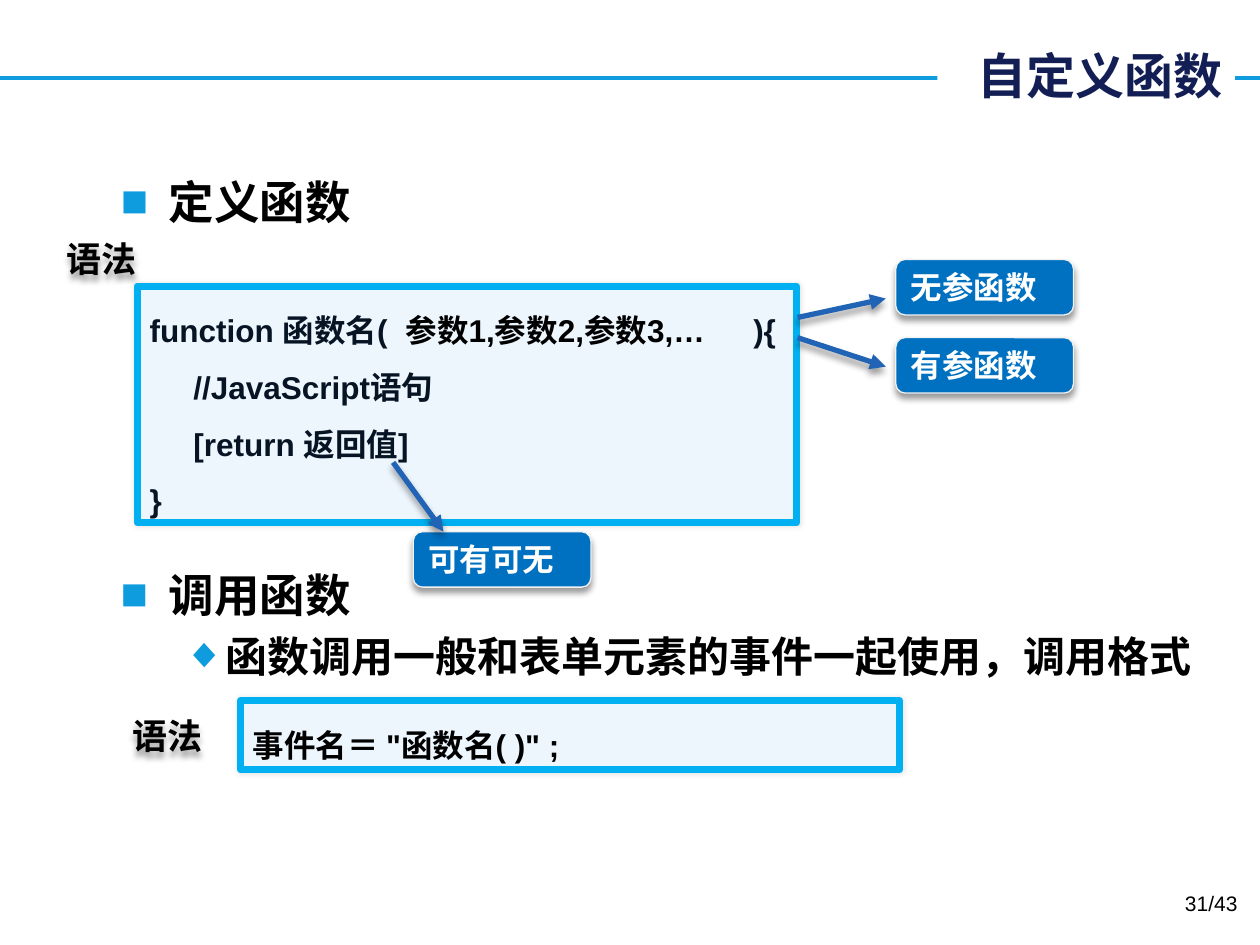
from lxml.etree import SubElement
from pptx import Presentation
from pptx.dml.color import RGBColor
from pptx.enum.shapes import MSO_CONNECTOR, MSO_SHAPE
from pptx.enum.text import MSO_ANCHOR, MSO_AUTO_SIZE, PP_ALIGN
from pptx.oxml.ns import qn
from pptx.util import Inches, Pt

BLACK = RGBColor(0x00, 0x00, 0x00)
WHITE = RGBColor(0xFF, 0xFF, 0xFF)
TITLE_NAVY = RGBColor(0x12, 0x1E, 0x54)
CODE_NAVY = RGBColor(0x07, 0x14, 0x24)
ACCENT = RGBColor(0x0E, 0x9C, 0xDE)
ARROW_BLUE = RGBColor(0x21, 0x63, 0xB4)
CALLOUT_BLUE = RGBColor(0x00, 0x70, 0xC0)
CALLOUT_EDGE = RGBColor(0xF2, 0xF2, 0xF2)
CODE_FILL = RGBColor(0xED, 0xF5, 0xFD)
CODE_EDGE = RGBColor(0x00, 0xB0, 0xF0)
LATIN = "Arial"
CJK = "Noto Sans CJK SC"


def set_font(paragraph, size, color, name=LATIN, bold=True):
    font = paragraph.font
    font.name, font.size, font.bold = name, Pt(size), bold
    font.color.rgb = color


def add_shadow(shape, alpha=40, blur=4, distance=3, angle=90):
    properties = shape._element.spPr
    for effects in properties.findall(qn("a:effectLst")):
        properties.remove(effects)
    effects = SubElement(properties, qn("a:effectLst"))
    shadow = SubElement(effects, qn("a:outerShdw"), blurRad=str(Pt(blur)),
                        dist=str(Pt(distance)), dir=str(angle * 60000),
                        algn="ctr", rotWithShape="0")
    color = SubElement(shadow, qn("a:srgbClr"), val="000000")
    SubElement(color, qn("a:alpha"), val=str(alpha * 1000))


def add_line(slide, start, end, color, width):
    line = slide.shapes.add_connector(
        MSO_CONNECTOR.STRAIGHT, *map(Inches, (*start, *end)))
    line.line.color.rgb = color
    line.line.width = Pt(width)
    return line


def add_title_rule(slide):
    rule = add_line(slide, (0, 0.62), (10, 0.62), ACCENT, 2.25)
    SubElement(rule._element.spPr, qn("a:effectLst"))
    rule._element.getparent().insert(2, rule._element)


def add_arrow(slide, start, end):
    arrow = add_line(slide, start, end, ARROW_BLUE, 3)
    SubElement(arrow.line._get_or_add_ln(), qn("a:tailEnd"), type="triangle")
    add_shadow(arrow)


def add_text(slide, box, text, size, name=LATIN, bold=True):
    frame = slide.shapes.add_textbox(*map(Inches, box)).text_frame
    frame.word_wrap = True
    paragraph = frame.paragraphs[0]
    paragraph.text = text
    set_font(paragraph, size, BLACK, name, bold)
    return frame


def add_syntax_label(slide, left, top):
    frame = add_text(slide, (left, top, 0.77, 0.44), "语法", 20, CJK)
    frame.word_wrap = False
    frame.vertical_anchor = MSO_ANCHOR.MIDDLE
    add_shadow(slide.shapes[-1])


def add_panel(slide, box, corner, fill, edge, edge_width):
    panel = slide.shapes.add_shape(MSO_SHAPE.ROUNDED_RECTANGLE, *map(Inches, box))
    panel.adjustments[0] = corner
    panel.fill.solid()
    panel.fill.fore_color.rgb = fill
    panel.line.color.rgb = edge
    panel.line.width = Pt(edge_width)
    return panel


def add_code_box(slide, box, lines, color):
    panel = add_panel(slide, box, 0, CODE_FILL, CODE_EDGE, 4)
    add_shadow(panel, alpha=10, blur=3, distance=0, angle=0)
    frame = panel.text_frame
    frame.vertical_anchor = MSO_ANCHOR.TOP
    frame.text = "\n".join(lines)
    for paragraph in frame.paragraphs:
        paragraph.alignment = PP_ALIGN.LEFT
        paragraph.line_spacing = 1.5
        tabs = SubElement(paragraph._p.get_or_add_pPr(), qn("a:tabLst"))
        SubElement(tabs, qn("a:tab"), pos=str(Inches(4.79)), algn="l")
        set_font(paragraph, 18, color)


def add_callout(slide, left, top, text):
    callout = add_panel(slide, (left, top, 1.41, 0.44), 0.167,
                        CALLOUT_BLUE, CALLOUT_EDGE, 0.75)
    add_shadow(callout)
    frame = callout.text_frame
    frame.vertical_anchor = MSO_ANCHOR.BOTTOM
    paragraph = frame.paragraphs[0]
    paragraph.text = text
    paragraph.alignment = PP_ALIGN.LEFT
    set_font(paragraph, 18, WHITE, CJK)


def format_bullet(paragraph, bullet, margin, hanging, size, space_before=0):
    properties = paragraph._p.get_or_add_pPr()
    properties.set("marL", str(Inches(margin)))
    properties.set("indent", str(-Inches(hanging)))
    paragraph.space_before = Pt(space_before)
    color = SubElement(properties, qn("a:buClr"))
    SubElement(color, qn("a:srgbClr"), val=str(ACCENT))
    SubElement(properties, qn("a:buFont"), typeface=LATIN)
    SubElement(properties, qn("a:buChar"), char=bullet)
    set_font(paragraph, size, BLACK)


def place(placeholder, box):
    (placeholder.left, placeholder.top,
     placeholder.width, placeholder.height) = map(Inches, box)


def fill_title(title, text):
    place(title, (7.44, 0.31, 2.36, 0.57))
    title.fill.solid()
    title.fill.fore_color.rgb = WHITE
    frame = title.text_frame
    frame.text = text
    frame.auto_size = MSO_AUTO_SIZE.NONE
    frame.vertical_anchor = MSO_ANCHOR.MIDDLE
    frame.paragraphs[0].alignment = PP_ALIGN.RIGHT
    set_font(frame.paragraphs[0], 28, TITLE_NAVY, CJK)


def fill_definition(body):
    place(body, (0.86, 1.33, 8.36, 5.62))
    body.text_frame.text = "定义函数"
    format_bullet(body.text_frame.paragraphs[0], "■", 0.38, 0.38, 26)


def add_call_list(slide):
    frame = add_text(slide, (0.86, 4.45, 9.17, 1.03), "调用函数", 26)
    format_bullet(frame.paragraphs[0], "■", 0.38, 0.38, 26)
    usage = frame.add_paragraph()
    usage.text = "函数调用一般和表单元素的事件一起使用，调用格式"
    usage.level = 1
    format_bullet(usage, "◆", 0.81, 0.31, 24, space_before=5)


def add_parameters(slide):
    frame = add_text(slide, (3.12, 2.27, 2.61, 0.47), "参数1,参数2,参数3,…", 18)
    parameters = frame.paragraphs[0]
    parameters.line_spacing = 1.5
    properties = parameters._p.get_or_add_pPr()
    properties.set("marL", str(Inches(0.38)))
    properties.set("indent", str(-Inches(0.38)))


def main():
    presentation = Presentation()
    presentation.slide_width = Inches(10)
    presentation.slide_height = Inches(7.5)
    slide = presentation.slides.add_slide(presentation.slide_layouts[1])

    add_title_rule(slide)
    fill_title(slide.shapes.title, "自定义函数")
    fill_definition(slide.placeholders[1])
    add_call_list(slide)

    add_syntax_label(slide, 0.43, 1.83)
    definition = ["function 函数名(\t){", "     //JavaScript语句",
                  "     [return 返回值]", "}"]
    add_code_box(slide, (1.09, 2.27, 5.23, 1.88), definition, CODE_NAVY)
    add_parameters(slide)

    for left, top, text in ((7.11, 2.06, "无参函数"), (7.11, 2.68, "有参函数"),
                            (3.28, 4.22, "可有可无")):
        add_callout(slide, left, top, text)
    for start, end in (((6.33, 2.52), (7.03, 2.37)), ((6.33, 2.68), (7.03, 2.91)),
                       ((3.12, 3.67), (3.52, 4.22))):
        add_arrow(slide, start, end)

    add_syntax_label(slide, 0.95, 5.62)
    add_code_box(slide, (1.91, 5.56, 5.23, 0.55), ['事件名＝ "函数名( )" ;'], BLACK)

    page = add_text(slide, (7.59, 7.02, 2.33, 0.4), "31/43", 12, bold=False)
    page.paragraphs[0].alignment = PP_ALIGN.RIGHT
    presentation.save("out.pptx")


if __name__ == "__main__":
    main()
